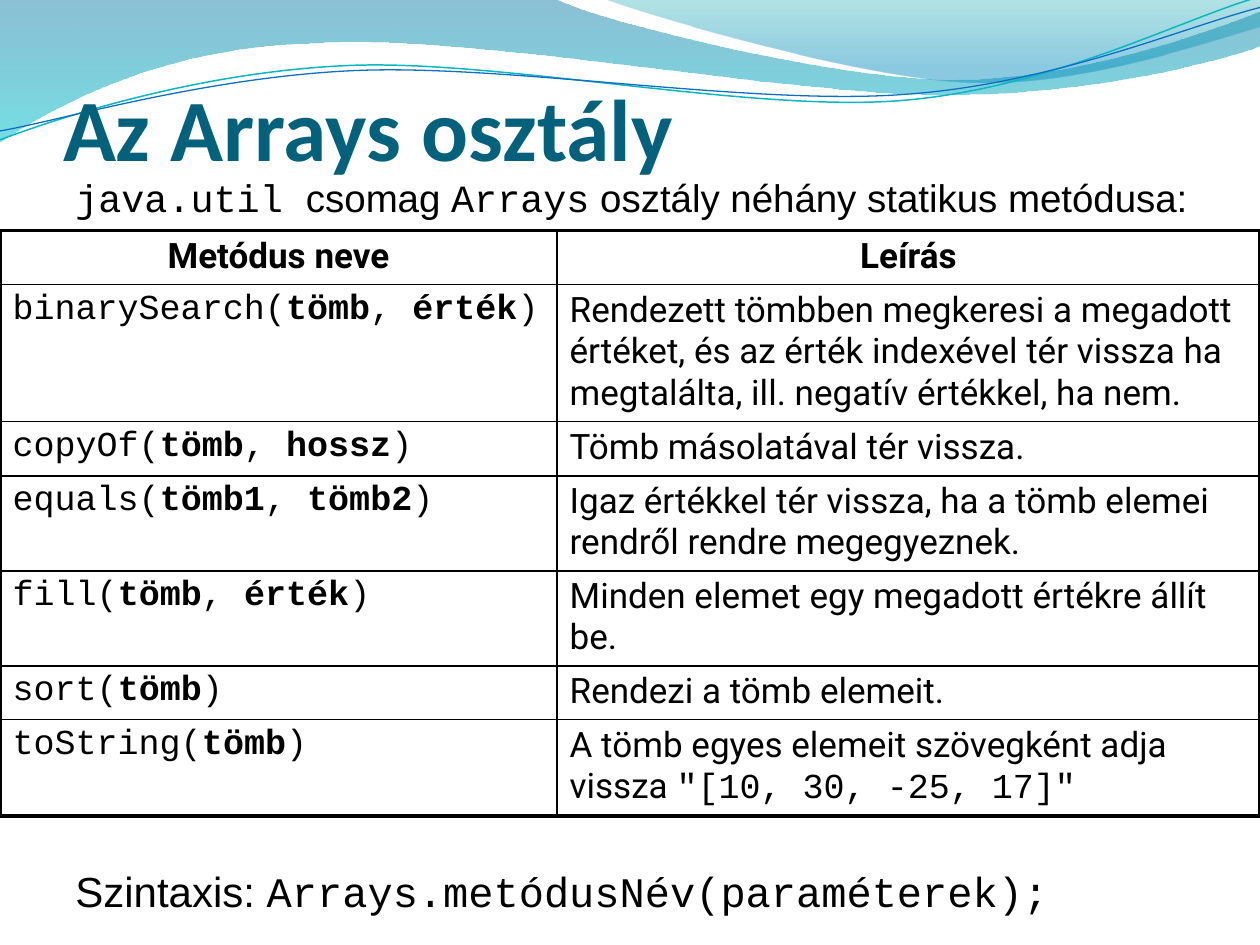
from math import cos, radians, sin

from lxml.etree import SubElement as Sub
from pptx import Presentation
from pptx.dml.color import RGBColor
from pptx.enum.text import MSO_ANCHOR as Anchor, PP_ALIGN as Align
from pptx.oxml.ns import qn
from pptx.util import Cm, Pt

BLACK = RGBColor(0x00, 0x00, 0x00)
WHITE = RGBColor(0xFF, 0xFF, 0xFF)
TITLE = RGBColor(0x04, 0x61, 0x7B)
DEEP = RGBColor(0x00, 0x74, 0xA1)
AQUA = RGBColor(0x00, 0xC6, 0xCF)
TEAL = RGBColor(0x00, 0xA1, 0xA9)
SKY = RGBColor(0x00, 0x8B, 0xBF)
CYAN = RGBColor(0x0A, 0xB8, 0xBF)
BLUE = RGBColor(0x0F, 0x6F, 0xC6)

CODE, SANS, BODY, HEAD = "Courier New", "Arial", "Roboto", "Calibri"
UNIT = Cm(2.54)  # one unit of the wave outlines
TILT = -2.7      # rotation of the thin curves, degrees

# Outlines: a pair is a straight step, six numbers are a Bézier curve
BANDS = [
    ([(0, 0), (4.4, -0.01), (4.76, 0.17, 6.64, 0.63, 7.58, 0.63),
      (8.53, 0.63, 9.58, 0.26, 10, 0.09), (10.01, 0.36),
      (9.83, 0.44, 8.7, 0.76, 7.46, 0.75),
      (6.22, 0.75, 3.82, 0.28, 2.57, 0.34),
      (1.29, 0.36, 0.46, 0.83, -0.01, 1.13), (0, 0)],
     [(0, DEEP, 45), (1, AQUA, 55)]),
    ([(4.79, -0.01), (5.09, 0.11, 6.82, 0.62, 7.69, 0.65),
      (8.56, 0.69, 9.61, 0.32, 10, 0.21), (10, 0), (4.79, -0.01)],
     [(0, TEAL, 30), (0.8, SKY, 45)]),
]
LINES = [
    ([(0, 1.11), (0.48, 0.93, 1.58, 0.57, 2.77, 0.52),
      (3.95, 0.47, 5.93, 0.89, 7.13, 0.8),
      (8.33, 0.71, 9.38, 0.15, 9.98, -0.02)], CYAN, 0.85),
    ([(0, 1.04), (0.47, 0.96, 1.64, 0.61, 2.83, 0.56),
      (4.03, 0.51, 5.97, 0.84, 7.17, 0.75),
      (8.36, 0.67, 9.41, 0.21, 10, 0.06)], BLUE, 0.75),
]

HEADS = ["Metódus neve", "Leírás"]
METHODS = [
    ("binarySearch", ["tömb", "érték"],
     "Rendezett tömbben megkeresi a megadott értéket, és az érték indexével "
     "tér vissza ha megtalálta, ill. negatív értékkel, ha nem.", ""),
    ("copyOf", ["tömb", "hossz"], "Tömb másolatával tér vissza.", ""),
    ("equals", ["tömb1", "tömb2"],
     "Igaz értékkel tér vissza, ha a tömb elemei rendről rendre "
     "megegyeznek.", ""),
    ("fill", ["tömb", "érték"],
     "Minden elemet egy megadott értékre állít be.", ""),
    ("sort", ["tömb"], "Rendezi a tömb elemeit.", ""),
    ("toString", ["tömb"], "A tömb egyes elemeit szövegként adja vissza ",
     '"[10, 30, -25, 17]"'),
]
COLS = [11.23, 14.17]
ROWS = [1.09, 2.74, 1.09, 1.91, 1.91, 1.08, 1.95]


def style(run, face, size, bold=False, color=BLACK):
    font = run.font
    font.name, font.size, font.bold = face, Pt(size), bold
    font.color.rgb = color


def write(para, parts, size):
    """Add runs given as (text, face, bold)."""
    for text, face, bold in parts:
        run = para.add_run()
        run.text = text
        style(run, face, size, bold)


def pairs(seg):
    return list(zip(seg[::2], seg[1::2]))


def untilt(path, angle):
    """Turn an outline back about its middle, before it is rotated."""
    mx = (path[0][0] + path[-1][-2]) / 2
    my = (path[0][1] + path[-1][-1]) / 2
    c, s = cos(radians(-angle)), sin(radians(-angle))
    return [[v for x, y in pairs(seg)
             for v in (mx + (x - mx) * c - (y - my) * s,
                       my + (x - mx) * s + (y - my) * c)] for seg in path]


def add_path(slide, left, top, path):
    steps = [[(round(x * UNIT), round(y * UNIT)) for x, y in pairs(seg)]
             for seg in path]
    ends = [step[-1] for step in steps]
    pen = slide.shapes.build_freeform(*ends[0], scale=1.0)
    pen.add_line_segments(ends[1:], close=False)
    shape = pen.convert_to_shape(left, top)
    shape.shadow.inherit = False
    # Bend the straight steps that have control points
    dx, dy = min(x for x, y in ends), min(y for x, y in ends)
    for node, step in zip(shape.element.xpath(".//a:lnTo"), steps[1:]):
        if len(step) == 3:
            curve = Sub(node.getparent(), qn("a:cubicBezTo"))
            for x, y in step:
                Sub(curve, qn("a:pt"), x=str(x - dx), y=str(y - dy))
            node.getparent().replace(node, curve)
    return shape


def add_waves(slide, left, top):
    # Translucent bands
    for path, stops in BANDS:
        band = add_path(slide, left, top, path)
        band.line.fill.background()
        band.fill.gradient()
        band.fill.gradient_angle = 270
        for stop, (pos, color, alpha) in zip(band.fill.gradient_stops, stops):
            stop.position = pos
            stop.color.rgb = color
        marks = band.element.xpath(".//a:gs/a:srgbClr")
        for mark, (pos, color, alpha) in zip(marks, stops):
            Sub(mark, qn("a:alpha"), val=str(alpha * 1000))
    # Thin curves
    for path, color, width in LINES:
        curve = add_path(slide, left, top, untilt(path, TILT))
        curve.rotation = TILT
        curve.fill.background()
        curve.line.color.rgb = color
        curve.line.width = Pt(width)


def add_title(slide, left, top, width, height):
    title = slide.shapes.title
    title.left, title.top, title.width, title.height = left, top, width, height
    frame = title.text_frame
    frame.text = "Az Arrays osztály"
    frame.vertical_anchor = Anchor.BOTTOM
    frame.margin_left = frame.margin_right = frame.margin_bottom = 0
    frame.margin_top = Cm(0.13)
    para = frame.paragraphs[0]
    para.alignment = Align.LEFT
    style(para.runs[0], HEAD, 50, True, TITLE)
    # Bring the title in front of the waves
    title.element.getparent().append(title.element)


def add_note(slide, left, top, width, height, parts, size):
    frame = slide.shapes.add_textbox(left, top, width, height).text_frame
    frame.word_wrap = True
    frame.margin_left = frame.margin_right = 0
    frame.margin_top = frame.margin_bottom = 0
    write(frame.paragraphs[0], parts, size)


def add_edges(cell, widths):
    props = cell._tc.get_or_add_tcPr()
    for side, width in zip("LRTB", widths):
        edge = Sub(props, qn("a:ln" + side), w=str(Pt(width)))
        fill = Sub(edge, qn("a:solidFill"))
        Sub(fill, qn("a:srgbClr"), val=str(BLACK))


def add_grid(slide, left, top, width, height):
    rows, cols = len(ROWS), len(COLS)
    table = slide.shapes.add_table(rows, cols, left, top, width, height).table
    for col, size in zip(table.columns, COLS):
        col.width = Cm(size)
    for row, size in zip(table.rows, ROWS):
        row.height = Cm(size)
    # Thick outer frame, thin inner rules
    for r in range(rows):
        for c in range(cols):
            cell = table.cell(r, c)
            outer = (c == 0, c == cols - 1, r == 0, r == rows - 1)
            add_edges(cell, [2.25 if o else 1 for o in outer])
            cell.margin_top = cell.margin_bottom = Cm(0.11)
            cell.fill.solid()
            cell.fill.fore_color.rgb = WHITE
    # Header
    for c, text in enumerate(HEADS):
        para = table.cell(0, c).text_frame.paragraphs[0]
        para.alignment = Align.CENTER
        write(para, [(text, BODY, True)], 20)
    # Methods
    for r, (name, args, about, sample) in enumerate(METHODS, 1):
        call = [(name + "(", CODE, False)]
        for i, arg in enumerate(args):
            if i:
                call.append((", ", CODE, False))
            call.append((arg, CODE, True))
        call.append((")", CODE, False))
        desc = [(about, BODY, False)]
        if sample:
            desc.append((sample, CODE, False))
        for c, parts in enumerate([call, desc]):
            write(table.cell(r, c).text_frame.paragraphs[0], parts, 20)


def main():
    deck = Presentation()
    deck.slide_width, deck.slide_height = Cm(25.4), Cm(19.05)
    slide = deck.slides.add_slide(deck.slide_layouts[5])
    add_waves(slide, 0, 0)
    add_title(slide, Cm(1.27), Cm(0.43), Cm(22.86), Cm(3.18))
    add_note(slide, Cm(1.52), Cm(3.5), Cm(23), Cm(0.95),
             [("java.util ", CODE, False), ("csomag ", SANS, False),
              ("Arrays", CODE, False),
              (" osztály néhány statikus metódusa:", SANS, False)], 22)
    add_grid(slide, 0, Cm(4.65), Cm(sum(COLS)), Cm(sum(ROWS)))
    add_note(slide, Cm(1.52), Cm(17.45), Cm(23), Cm(1),
             [("Szintaxis: ", SANS, False),
              ("Arrays.metódusNév(paraméterek);", CODE, False)], 24)
    deck.save("out.pptx")


if __name__ == "__main__":
    main()
